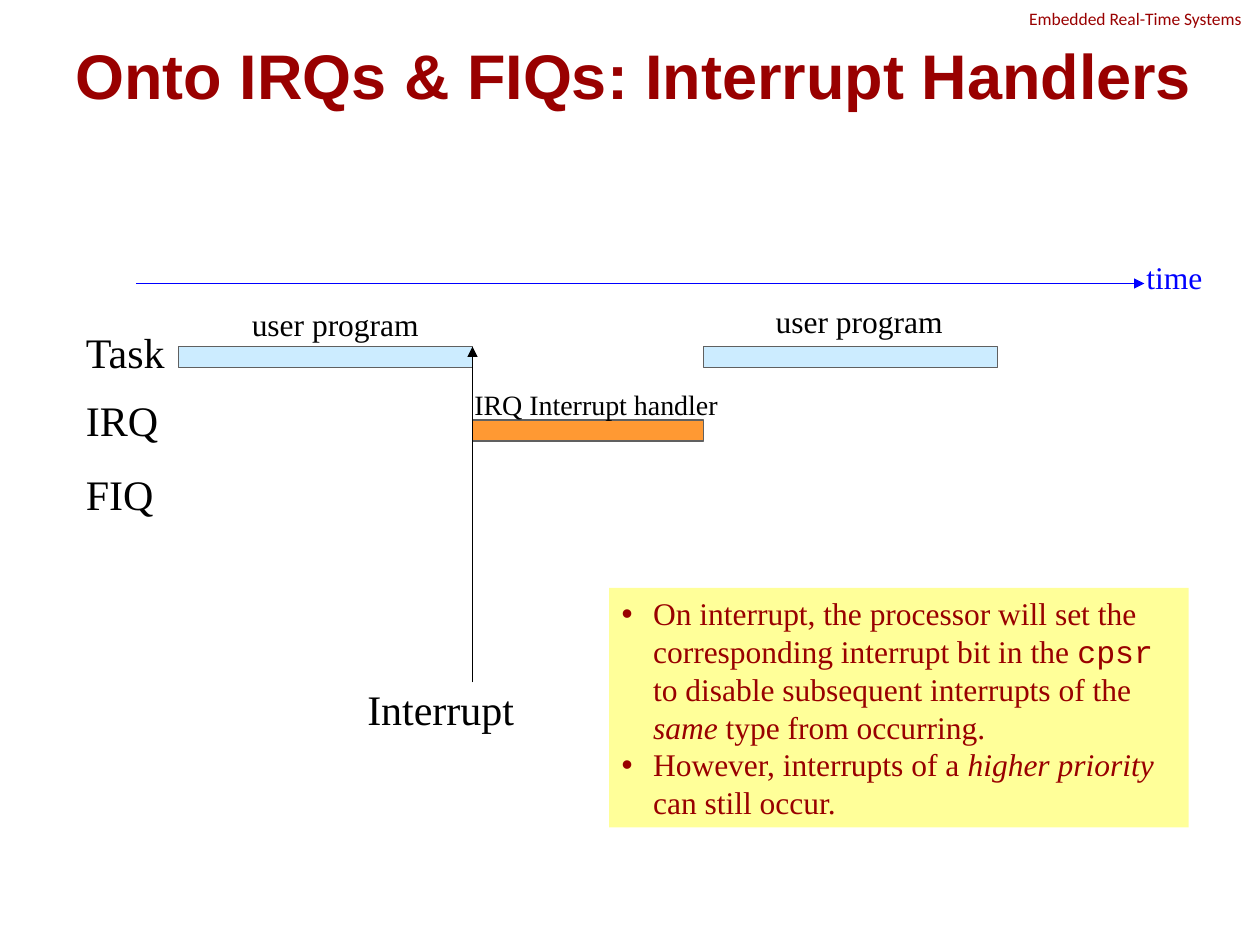
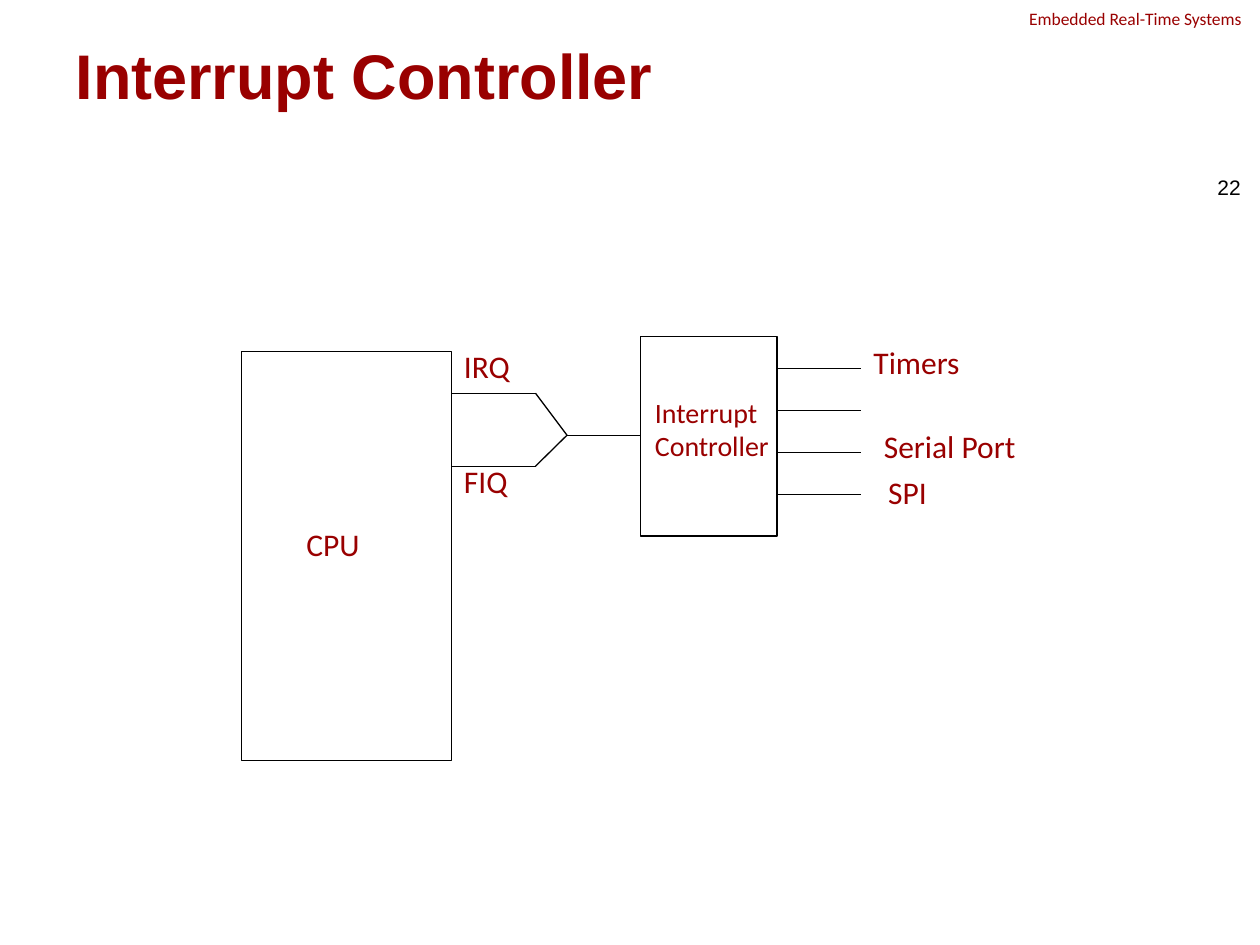
from dataclasses import dataclass

from lxml import etree
from pptx import Presentation
from pptx.dml.color import RGBColor
from pptx.enum.shapes import MSO_CONNECTOR, MSO_SHAPE
from pptx.enum.text import MSO_ANCHOR, MSO_AUTO_SIZE, PP_ALIGN
from pptx.oxml.ns import qn
from pptx.util import Inches, Pt

COLUMNS, ROWS = 120, 90
CELL = Inches(10) // COLUMNS
COLORS = {
    "maroon": "990000",
    "black": "000000",
    "blue": "0000FF",
    "grey": "606060",
    "sky": "CCECFF",
    "orange": "FF9933",
    "yellow": "FFFF99",
}
SANS, HUMANIST, SERIF, MONO = "Arial", "Calibri", "Times New Roman", "Courier New"
RECTANGLE, STRAIGHT = MSO_SHAPE.RECTANGLE, MSO_CONNECTOR.STRAIGHT
TOP, MIDDLE = MSO_ANCHOR.TOP, MSO_ANCHOR.MIDDLE
FIXED_SIZE = MSO_AUTO_SIZE.NONE
LEFT, RIGHT = PP_ALIGN.LEFT, PP_ALIGN.RIGHT
LINE_WIDTH = Pt(0.75)
CONTENT_LAYOUT, TITLE_LAYOUT = 1, 5


@dataclass(frozen=True)
class Area:
    """A rectangle in grid columns and rows."""
    column: float
    row: float
    columns: float
    rows: float

    def lengths(self) -> tuple[int, ...]:
        """Return left, top, width and height in slide units."""
        return tuple(cells(n) for n in (self.column, self.row, self.columns, self.rows))


@dataclass(frozen=True)
class Style:
    """The look of a text run."""
    size: float
    font: str
    color: str = "maroon"
    bold: bool = False
    italic: bool = False


@dataclass(frozen=True)
class Label:
    """Text in an area, one paragraph for each line."""
    text: str
    area: Area
    style: Style
    align: PP_ALIGN = LEFT
    anchor: MSO_ANCHOR = TOP
    wrap: bool = False


@dataclass(frozen=True)
class Block:
    """An outlined rectangle, filled if a colour is named."""
    area: Area
    fill: str | None = None
    line: str = "black"


@dataclass(frozen=True)
class Wire:
    """A straight line between two grid points."""
    start: tuple[float, float]
    end: tuple[float, float]
    color: str = "black"
    arrow: bool = False


TITLE = Style(36, SANS, bold=True)
HEADER = Style(10, HUMANIST)
NUMBER = Style(12, SANS, "black")
MODE = Style(24, SERIF, "black")
ACTIVITY = Style(18, SERIF, "black")
HANDLER = Style(16, SERIF, "black")
AXIS = Style(18, SERIF, "blue")
NOTE = Style(18, SERIF)
NOTE_CODE = Style(18, MONO)
NOTE_STRESS = Style(18, SERIF, italic=True)
PART = Style(18, HUMANIST)
CONTROLLER = Style(16, HUMANIST)

NOTES = (
    (
        ("On interrupt, the processor will set the corresponding interrupt bit in the ", NOTE),
        ("cpsr", NOTE_CODE),
        (" to disable subsequent interrupts of the ", NOTE),
        ("same", NOTE_STRESS),
        (" type from occurring.", NOTE),
    ),
    (
        ("However, interrupts of a ", NOTE),
        ("higher priority", NOTE_STRESS),
        (" can still occur.", NOTE),
    ),
)


def cells(count: float) -> int:
    """Convert grid cells to slide units."""
    return round(count * CELL)


def rgb(name: str) -> RGBColor:
    """Look up a named colour."""
    return RGBColor.from_string(COLORS[name])


def place(shape, area: Area) -> None:
    """Move a shape to an area."""
    shape.left, shape.top, shape.width, shape.height = area.lengths()


def add_span(para, text: str, style: Style) -> None:
    """Append a styled run to a paragraph."""
    span = para.add_run()
    span.text = text
    font = span.font
    font.size, font.name = Pt(style.size), style.font
    font.bold, font.italic = style.bold, style.italic
    font.color.rgb = rgb(style.color)


def add_paragraphs(frame, paragraphs, align: PP_ALIGN = LEFT) -> list:
    """Fill a text frame with paragraphs made of (text, style) spans."""
    paras = []
    for index, spans in enumerate(paragraphs):
        para = frame.add_paragraph() if index else frame.paragraphs[0]
        para.alignment = align
        for text, style in spans:
            add_span(para, text, style)
        paras.append(para)
    return paras


def add_label(page, label: Label):
    """Draw a text box."""
    box = page.shapes.add_textbox(*label.area.lengths())
    frame = box.text_frame
    frame.word_wrap, frame.vertical_anchor = label.wrap, label.anchor
    lines = [[(line, label.style)] for line in label.text.split("\n")]
    add_paragraphs(frame, lines, label.align)
    return box


def add_block(page, block: Block) -> None:
    """Draw a rectangle."""
    shape = page.shapes.add_shape(RECTANGLE, *block.area.lengths())
    shape.shadow.inherit = False
    if block.fill:
        shape.fill.solid()
        shape.fill.fore_color.rgb = rgb(block.fill)
    else:
        shape.fill.background()
    shape.line.color.rgb = rgb(block.line)
    shape.line.width = LINE_WIDTH


def add_wire(page, wire: Wire) -> None:
    """Draw a line, with an arrowhead at its end if wanted."""
    points = [cells(n) for n in (*wire.start, *wire.end)]
    connector = page.shapes.add_connector(STRAIGHT, *points)
    connector.line.color.rgb = rgb(wire.color)
    connector.line.width = LINE_WIDTH
    if wire.arrow:
        etree.SubElement(connector.get_or_add_ln(), qn("a:tailEnd"), type="triangle")
    etree.SubElement(connector.element.spPr, qn("a:effectLst"))


def draw(page, items) -> None:
    """Draw blocks, wires and labels in order."""
    painters = {Block: add_block, Wire: add_wire, Label: add_label}
    for item in items:
        painters[type(item)](page, item)


def add_page(deck, layout: int, title: str, columns: float):
    """Add a slide with its formatted title."""
    page = deck.slides.add_slide(deck.slide_layouts[layout])
    box = page.shapes.title
    place(box, Area(6, 3.6, columns, 7))
    frame = box.text_frame
    frame.auto_size, frame.vertical_anchor = FIXED_SIZE, MIDDLE
    add_paragraphs(frame, [[(title, TITLE)]])
    return page


def add_running_header(deck, page) -> None:
    """Put the course name on the slide master."""
    area = Area(96.84, 0.15, COLUMNS - 96.84, 3.24)
    box = add_label(page, Label("Embedded Real-Time Systems", area, HEADER, wrap=True))
    box.text_frame.margin_right = 0
    deck.slide_master.shapes.element.append(box.element)


def add_notes_list(page) -> None:
    """Fill the body placeholder with the bulleted remarks."""
    body = page.placeholders[1]
    place(body, Area(58, 56, 55.2, 22.8))
    body.fill.solid()
    body.fill.fore_color.rgb = rgb("yellow")
    frame = body.text_frame
    frame.auto_size, frame.vertical_anchor = FIXED_SIZE, TOP
    for para in add_paragraphs(frame, NOTES):
        para.space_before, para.line_spacing = Pt(0), 1.0
        properties = para._p.get_or_add_pPr()
        properties.set("marL", str(cells(3)))
        properties.set("indent", str(cells(-3)))


def build_handlers(deck) -> None:
    """Build the interrupt timeline slide."""
    page = add_page(deck, CONTENT_LAYOUT, "Onto IRQs & FIQs: Interrupt Handlers", 114)
    add_running_header(deck, page)
    task_row, irq_row, bar_rows = 33, 40, 2
    start, interrupt, resume, end = 17, 45, 67, 95
    bars = (
        (start, interrupt, task_row, "sky"),
        (interrupt, resume, irq_row, "orange"),
        (resume, end, task_row, "sky"),
    )
    modes = (("Task", 30.5, 10.2), ("IRQ", 37, 9.36), ("FIQ", 44, 8.88))
    draw(page, [
        Wire((13, 27), (109, 27), "blue", arrow=True),
        *(Block(Area(left, row, right - left, bar_rows), fill, "grey")
          for left, right, row, fill in bars),
        Wire((interrupt, 65), (interrupt, task_row), arrow=True),
        Label("user program", Area(22.8, 28.5, 18.36, 4.8), ACTIVITY),
        Label("user program", Area(72.7, 28.2, 18.36, 4.8), ACTIVITY),
        Label("IRQ Interrupt handler", Area(44, 36.3, 25.7, 4.4), HANDLER),
        Label("Interrupt", Area(33.8, 64.5, 16.56, 6), MODE),
        *(Label(text, Area(7, row, columns, 6), MODE) for text, row, columns in modes),
        Label("time", Area(108, 24, 7.8, 4.8), AXIS),
    ])
    add_notes_list(page)


def build_controller(deck) -> None:
    """Build the interrupt controller diagram slide."""
    page = add_page(deck, TITLE_LAYOUT, "Interrupt Controller", 108)
    processor, controller = Area(23, 33.45, 20, 39), Area(61, 32.05, 13, 19)
    processor_edge = processor.column + processor.columns
    port_edge = controller.column + controller.columns
    bend, join = 51, (54, 41.45)
    signals = (("IRQ", 37.45, 32.45, 8.28), ("FIQ", 44.4, 43.4, 7.8))
    devices = (
        ("Timers", 82, 32.05, 11.88),
        ("Serial Port", 83, 40.05, 16.68),
        ("SPI", 83.4, 44.5, 6.12),
    )
    draw(page, [Block(processor), Block(controller), Wire(join, (controller.column, join[1]))])
    for name, row, label_row, columns in signals:
        draw(page, [
            Wire((processor_edge, row), (bend, row)),
            Wire((bend, row), join),
            Label(name, Area(processor_edge, label_row, columns, 5.28), PART),
        ])
    port_rows = [35.08 + 4 * port for port in range(4)]
    draw(page, [Wire((port_edge, row), (82, row)) for row in port_rows])
    draw(page, [Label(name, Area(column, row, columns, 5.28), PART)
                for name, column, row, columns in devices])
    draw(page, [
        Label("CPU", Area(28, 49.4, 10, 5.28), PART),
        Label("Interrupt\nController", Area(61.2, 37.05, 13.56, 8.28), CONTROLLER),
        Label("22", Area(110.25, 15.4, 9.1, 4.8), NUMBER, RIGHT, MIDDLE, wrap=True),
    ])


def main() -> None:
    """Build and save the deck."""
    deck = Presentation()
    deck.slide_width, deck.slide_height = cells(COLUMNS), cells(ROWS)
    build_handlers(deck)
    build_controller(deck)
    deck.save("out.pptx")


if __name__ == "__main__":
    main()
